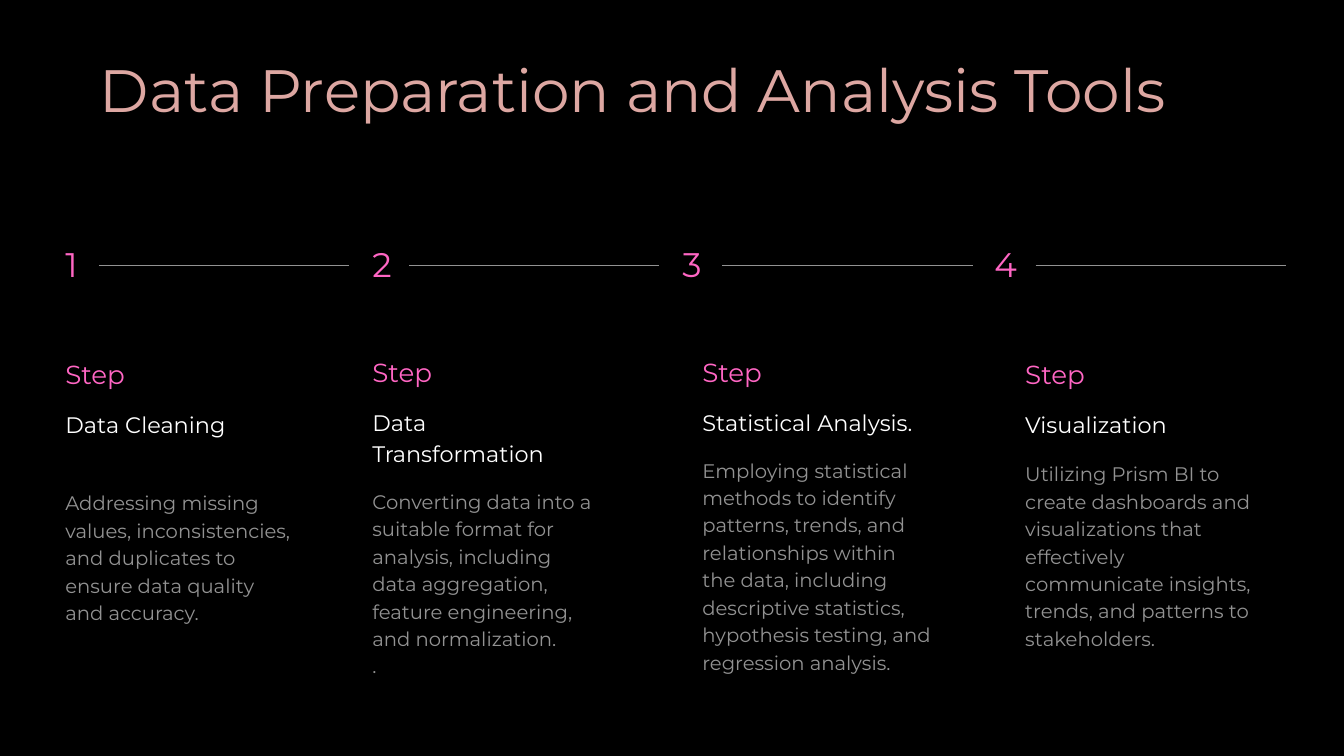
from collections import namedtuple

from lxml.etree import SubElement
from pptx import Presentation
from pptx.dml.color import RGBColor
from pptx.enum.shapes import MSO_CONNECTOR as Connector
from pptx.enum.text import MSO_AUTO_SIZE as AutoSize
from pptx.oxml.ns import qn
from pptx.util import Pt

FONT = "Montserrat"
BLACK, WHITE, GREY, PINK, ROSE = "000000", "FFFFFF", "929292", "FF66C4", "DDA7A2"

Box = namedtuple("Box", "left top width height")
Step = namedtuple("Step", "marker column label label_height body_offset body")

# Marker and column boxes in points; body_offset is measured from the column top.
STEPS = [
    Step(Box(70, 254, 36, 49), Box(70, 378, 244, 317), "Data Cleaning", 65, 144,
         ["Addressing missing values, inconsistencies, and duplicates "
          "to ensure data quality and accuracy."]),
    Step(Box(399, 254, 39.6, 49), Box(399, 376, 240.5, 346), "Data Transformation", 65, 144.5,
         ["Converting data into a suitable format for analysis, including "
          "data aggregation, feature engineering, and normalization.", "."]),
    Step(Box(731, 254, 43, 49), Box(752.5, 376, 247.5, 371), "Statistical Analysis.", 31, 111,
         ["Employing statistical methods to identify patterns, trends, and "
          "relationships within the data, including descriptive statistics, "
          "hypothesis testing, and regression analysis."]),
    Step(Box(1065.5, 254, 44, 49), Box(1098.5, 378, 260, 344), "Visualization", 65, 113,
         ["Utilizing Prism BI to create dashboards and visualizations that "
          "effectively communicate insights, trends, and patterns to stakeholders."]),
]


def color(hex_value):
    return RGBColor.from_string(hex_value)


def add_text(slide, box, paragraphs, size, spacing, hex_value):
    frame = slide.shapes.add_textbox(*map(Pt, box)).text_frame
    frame.margin_left = frame.margin_top = frame.margin_right = frame.margin_bottom = 0
    frame.word_wrap = True
    frame.auto_size = AutoSize.SHAPE_TO_FIT_TEXT
    frame.text = "\n".join(paragraphs)
    for paragraph in frame.paragraphs:
        paragraph.line_spacing = Pt(spacing)
        for run in paragraph.runs:
            run.font.name = FONT
            run.font.size = Pt(size)
            run.font.color.rgb = color(hex_value)


def add_title(slide, box):
    add_text(slide, box, ["Data Preparation and Analysis Tools"], 64, 76.8, ROSE)


def add_marker(slide, box, number):
    """Step number with the timeline rule that starts at its right edge."""
    add_text(slide, box, [str(number)], 36.5, 51, PINK)
    start, middle, length = box.left + box.width, box.top + 30.4, 268
    rule = slide.shapes.add_connector(
        Connector.STRAIGHT, Pt(start), Pt(middle), Pt(start + length), Pt(middle))
    rule.line.color.rgb = color(GREY)
    rule.line.width = Pt(0.75)
    SubElement(rule._element.spPr, qn("a:effectLst"))


def add_column(slide, box, step):
    def part(offset, height):
        return Box(box.left, box.top + offset, box.width, height)

    add_text(slide, part(0, 37), ["Step"], 28, 39.2, PINK)
    add_text(slide, part(57.6, step.label_height), [step.label], 24, 33.6, WHITE)
    add_text(slide, part(step.body_offset, box.height - step.body_offset),
             step.body, 21, 29.4, GREY)


def main():
    prs = Presentation()
    prs.slide_width, prs.slide_height = Pt(1440), Pt(810)
    slide = prs.slides.add_slide(prs.slide_layouts[6])
    background = slide.background.fill
    background.solid()
    background.fore_color.rgb = color(BLACK)

    add_title(slide, Box(107, 57, 1271, 76))
    for number, step in enumerate(STEPS, 1):
        add_marker(slide, step.marker, number)
        add_column(slide, step.column, step)
    prs.save("out.pptx")


if __name__ == "__main__":
    main()
